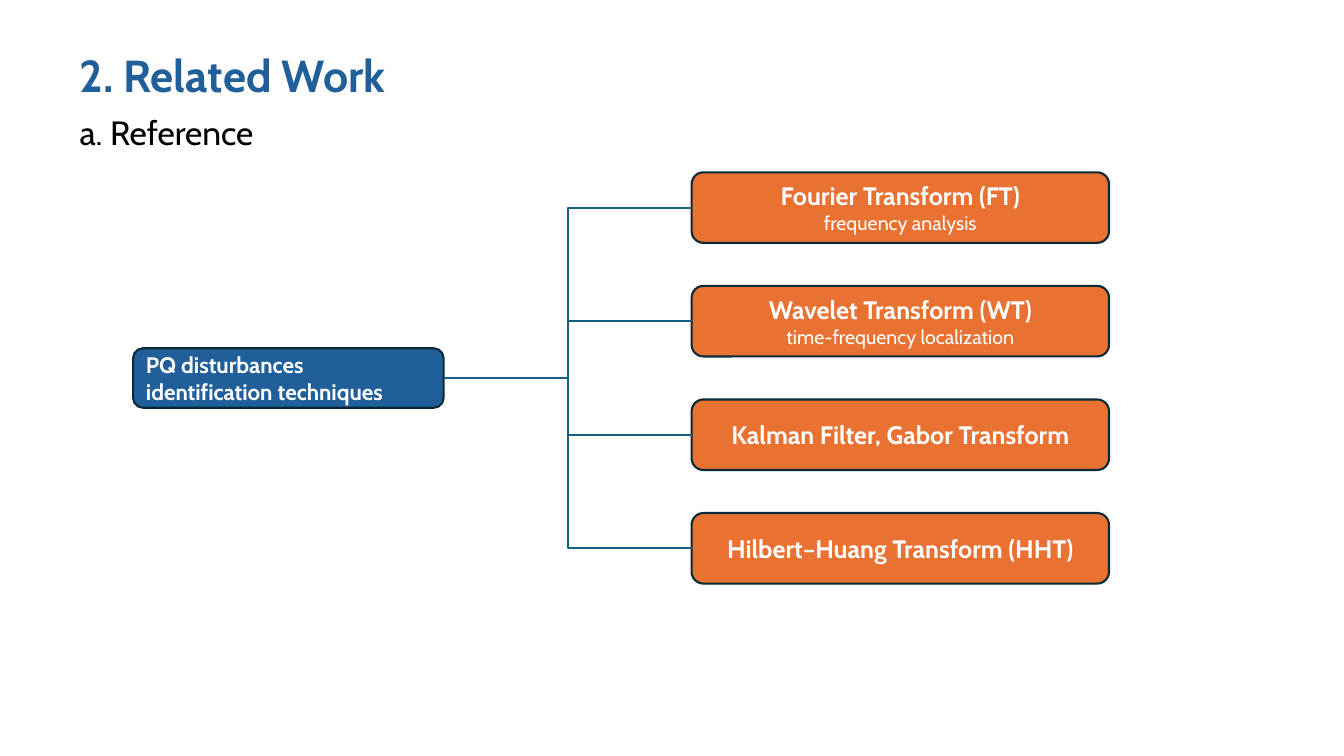
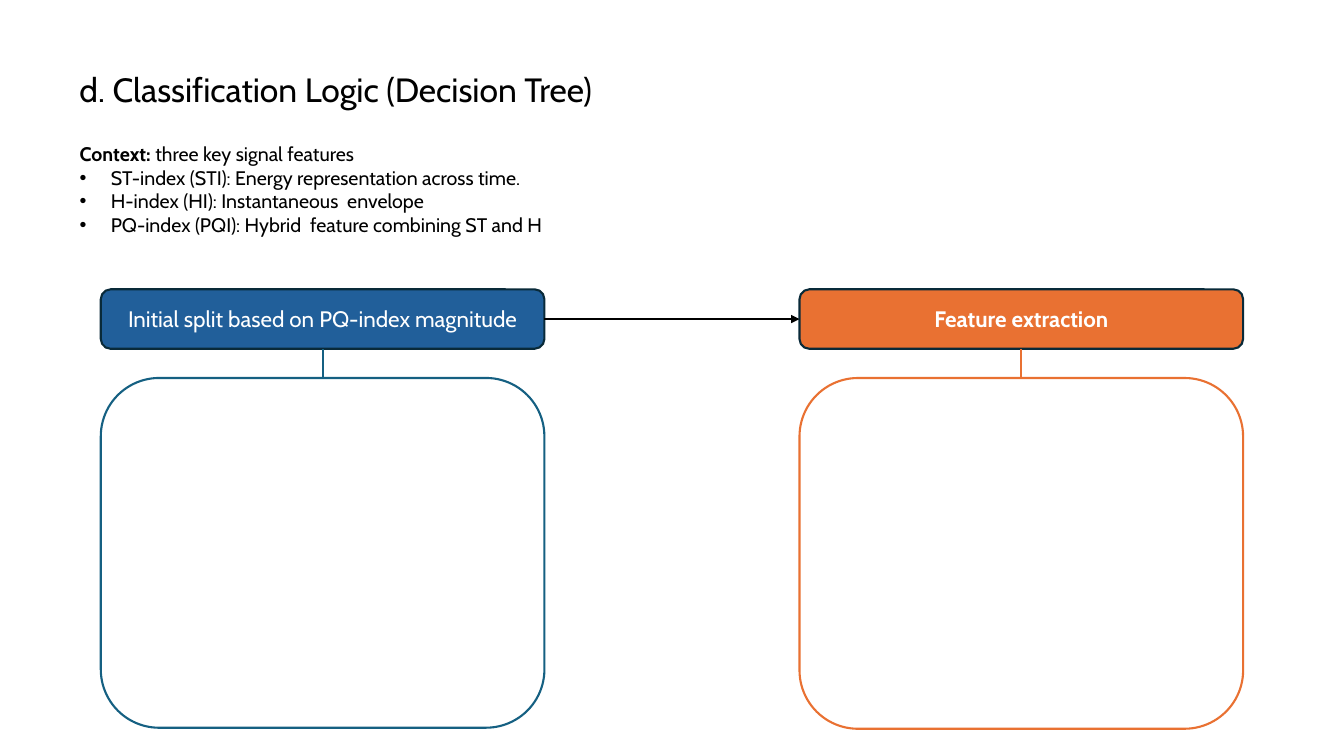
from lxml.etree import SubElement
from pptx import Presentation
from pptx.dml.color import RGBColor
from pptx.enum.shapes import MSO_CONNECTOR, MSO_SHAPE
from pptx.enum.text import MSO_ANCHOR, PP_ALIGN
from pptx.oxml.ns import qn
from pptx.util import Inches, Pt

FONT = "Cabin"
BLUE, ORANGE, TEAL = "215F9A", "E97132", "156082"
NAVY, WHITE, BLACK = "092A39", "FFFFFF", "000000"
LINE_WIDTH = 1.5
TOP, LEFT, BOTTOM, RIGHT = range(4)
MARGIN = 0.69


def rgb(color):
    return RGBColor.from_string(color)


def add_run(p, text, size, color, bold=False):
    r = p.add_run()
    r.text = text
    r.font.name = FONT
    r.font.size = Pt(size)
    r.font.bold = bold
    r.font.color.rgb = rgb(color)


def add_paragraph(tf, first):
    return tf.paragraphs[0] if first else tf.add_paragraph()


def add_text(s, x, y, w, h):
    tf = s.shapes.add_textbox(Inches(x), Inches(y), Inches(w), Inches(h)).text_frame
    tf.word_wrap = True
    return tf


def add_heading(s, text, y, w):
    add_run(add_text(s, MARGIN, y, w, 0.5).paragraphs[0], text, 24, BLACK)


def add_bullet(p, indent):
    pPr = p._p.get_or_add_pPr()
    pPr.set("marL", str(Inches(indent)))
    pPr.set("indent", str(-Inches(indent)))
    SubElement(pPr, qn("a:buFont"), typeface="Arial")
    SubElement(pPr, qn("a:buChar"), char="•")


def add_box(s, x, y, w, h, fill, line, lines=(), align=PP_ALIGN.CENTER):
    sp = s.shapes.add_shape(MSO_SHAPE.ROUNDED_RECTANGLE,
                            Inches(x), Inches(y), Inches(w), Inches(h))
    sp.shadow.inherit = False
    sp.fill.solid()
    sp.fill.fore_color.rgb = rgb(fill)
    sp.line.color.rgb = rgb(line)
    sp.line.width = Pt(LINE_WIDTH)
    tf = sp.text_frame
    tf.word_wrap = True
    tf.vertical_anchor = MSO_ANCHOR.MIDDLE
    for i, (text, size, bold) in enumerate(lines):
        p = add_paragraph(tf, i == 0)
        p.alignment = align
        add_run(p, text, size, WHITE, bold)
    return sp


def connect(s, start, start_site, end, end_site, color,
            kind=MSO_CONNECTOR.STRAIGHT, arrow=False):
    cx = s.shapes.add_connector(kind, 0, 0, 0, 0)
    cx.begin_connect(start, start_site)
    cx.end_connect(end, end_site)
    cx.line.color.rgb = rgb(color)
    cx.line.width = Pt(LINE_WIDTH)
    if arrow:
        SubElement(cx.line._get_or_add_ln(), qn("a:tailEnd"), type="triangle")
    SubElement(cx._element.spPr, qn("a:effectLst"))


def technique_tree(s, x, y, w, h, root_text, branches):
    root_w, root_h, leaf_w, leaf_h = 3.08, 0.59, 4.14, 0.7
    root = add_box(s, x, y + (h - root_h) / 2, root_w, root_h, BLUE, NAVY,
                   [(root_text, 16, True)], PP_ALIGN.LEFT)
    pitch = (h - leaf_h) / (len(branches) - 1)
    for i, (name, *notes) in enumerate(branches):
        lines = [(name, 18, True)] + [(note, 14, False) for note in notes]
        leaf = add_box(s, x + w - leaf_w, y + i * pitch, leaf_w, leaf_h,
                       ORANGE, NAVY, lines)
        connect(s, root, RIGHT, leaf, LEFT, TEAL, MSO_CONNECTOR.ELBOW)


def context_list(s, x, y, w, h, label, intro, features):
    tf = add_text(s, x, y, w, h)
    p = tf.paragraphs[0]
    add_run(p, label, 14, BLACK, True)
    add_run(p, intro, 14, BLACK)
    for feature in features:
        p = tf.add_paragraph()
        add_bullet(p, 0.31)
        add_run(p, feature, 14, BLACK)


def stage(s, x, y, w, h, title, bold, fill, outline):
    head_h, gap = 0.59, 0.29
    head = add_box(s, x, y, w, head_h, fill, NAVY, [(title, 16, bold)])
    panel = add_box(s, x, y + head_h + gap, w, h - head_h - gap, WHITE, outline)
    connect(s, head, BOTTOM, panel, TOP, outline)
    return head


def related_work(prs):
    s = prs.slides.add_slide(prs.slide_layouts[6])
    title = add_text(s, MARGIN, 0.42, 5.6, 0.64)
    add_run(title.paragraphs[0], "2. Related Work", 32, BLUE, True)
    technique_tree(s, 1.32, 1.71, 9.68, 4.08, "PQ disturbances identification techniques", [
        ("Fourier Transform (FT)", "frequency analysis"),
        ("Wavelet Transform (WT)", "time-frequency localization"),
        ("Kalman Filter, Gabor Transform",),
        ("Hilbert–Huang Transform (HHT)",),
    ])
    add_heading(s, "a. Reference", 1.06, 3.05)


def classification_logic(prs):
    s = prs.slides.add_slide(prs.slide_layouts[6])
    add_heading(s, "d. Classification Logic (Decision Tree)", 0.63, 5.86)
    context_list(s, MARGIN, 1.36, 6.49, 1.51, "Context: ", "three key signal features", [
        "ST-index (STI): Energy representation across time.",
        "H-index (HI): Instantaneous  envelope",
        "PQ-index (PQI): Hybrid  feature combining ST and H",
    ])
    split = stage(s, 1, 2.87, 4.4, 4.35, "Initial split based on PQ-index magnitude",
                  False, BLUE, TEAL)
    extraction = stage(s, 7.93, 2.87, 4.4, 4.36, "Feature extraction",
                       True, ORANGE, ORANGE)
    connect(s, split, RIGHT, extraction, LEFT, BLACK, arrow=True)


def main():
    prs = Presentation()
    prs.slide_width, prs.slide_height = Inches(13.33), Inches(7.5)
    related_work(prs)
    classification_logic(prs)
    prs.save("out.pptx")


if __name__ == "__main__":
    main()
